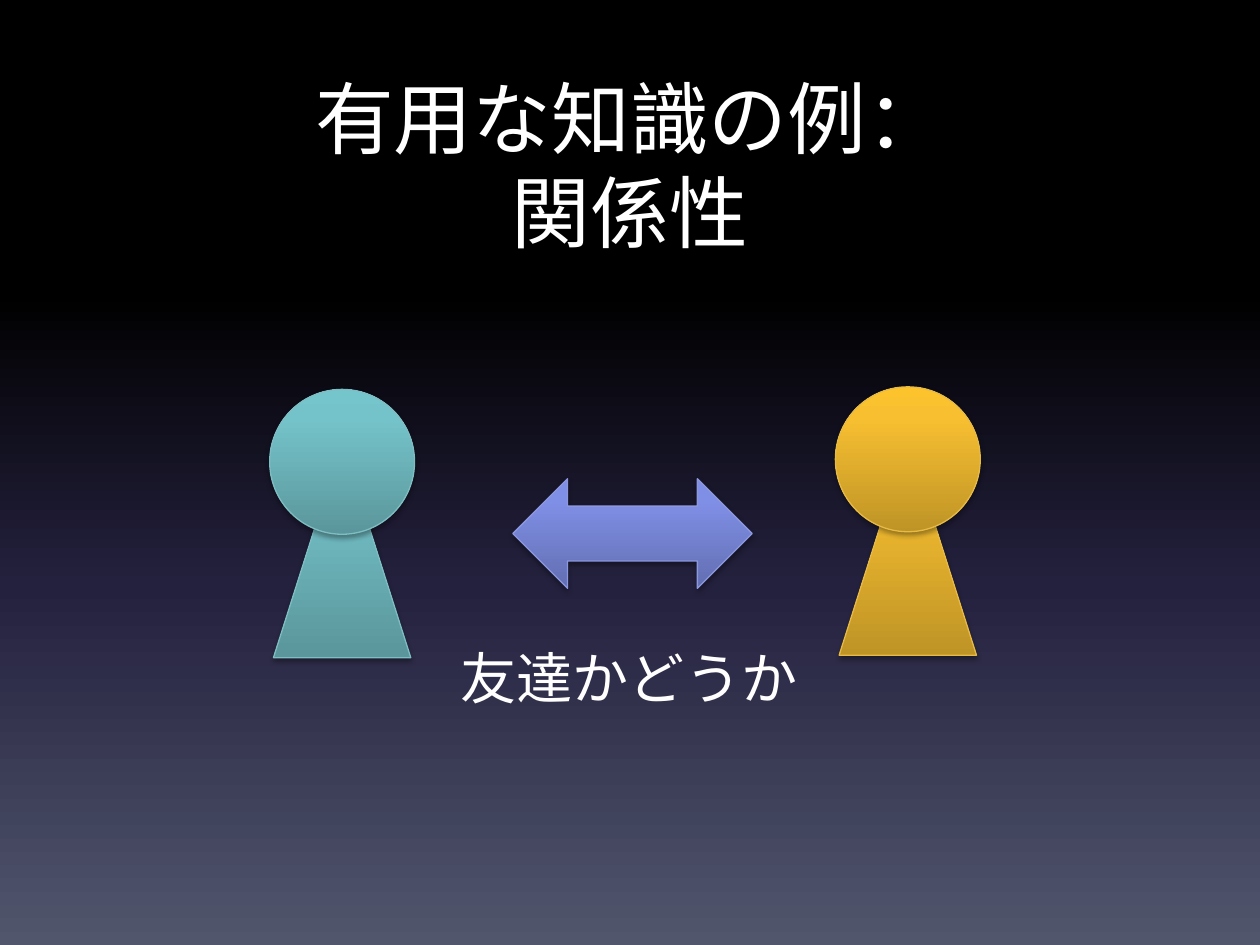
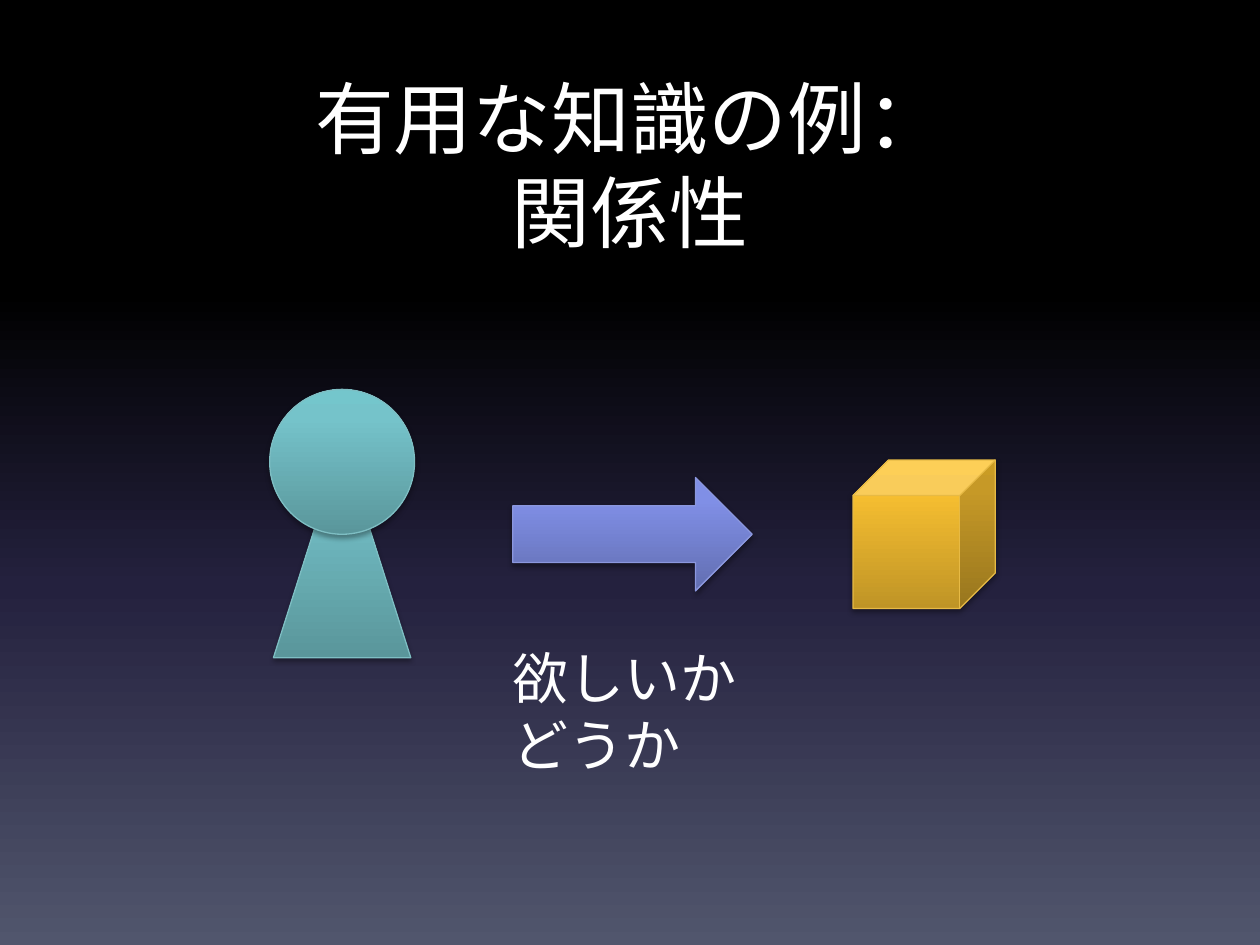
"""Build two slides on relationships as useful knowledge."""

from dataclasses import dataclass
from typing import NamedTuple

from lxml.etree import SubElement
from pptx import Presentation
from pptx.dml.color import RGBColor
from pptx.enum.shapes import MSO_SHAPE
from pptx.enum.text import MSO_ANCHOR, MSO_AUTO_SIZE, PP_ALIGN
from pptx.oxml.ns import qn
from pptx.slide import Slide
from pptx.text.text import _Paragraph
from pptx.util import Inches, Pt


class Stop(NamedTuple):
    percent: int
    color: str


class Box(NamedTuple):
    left: float
    top: float
    width: float
    height: float

    def inches(self) -> list[int]:
        return [Inches(v) for v in self]


class Paint(NamedTuple):
    stops: tuple[Stop, ...]
    line: str


@dataclass(frozen=True)
class Theme:
    font: str = "Cabin"
    text: str = "FFFFFF"
    title_size: int = 45
    caption_size: int = 32
    line_width: float = 0.75
    background: tuple[Stop, ...] = (
        Stop(0, "000000"), Stop(31, "000000"), Stop(62, "24213E"), Stop(100, "51566D"))
    teal: Paint = Paint((Stop(0, "5A969B"), Stop(80, "75C3CA"), Stop(100, "74C6CC")), "7EBEC3")
    gold: Paint = Paint((Stop(0, "BF9426"), Stop(80, "F8C031"), Stop(100, "FDC32D")), "E7BA45")
    violet: Paint = Paint((Stop(0, "626EB1"), Stop(80, "808FE6"), Stop(100, "7E8EE9")), "8B97DE")


@dataclass(frozen=True)
class Figure:
    shape: MSO_SHAPE
    box: Box
    paint: Paint


@dataclass(frozen=True)
class Relation:
    figures: tuple[Figure, ...]
    caption: tuple[str, ...]
    caption_box: Box


THEME = Theme()
TITLE = ("有用な知識の例：", "関係性")
TITLE_BOX = Box(0.5, 0.5, 9, 1.25)


def person(left: float, top: float, paint: Paint) -> tuple[Figure, ...]:
    """Return a body with a head in front of it."""
    return (
        Figure(MSO_SHAPE.ISOSCELES_TRIANGLE, Box(left + 0.03, top + 0.42, 1.09, 1.71), paint),
        Figure(MSO_SHAPE.OVAL, Box(left, top, 1.15, 1.15), paint),
    )


FRIEND = person(2.14, 3.09, THEME.teal)
RELATIONS = (
    Relation(
        (*FRIEND, *person(6.63, 3.07, THEME.gold),
         Figure(MSO_SHAPE.LEFT_RIGHT_ARROW, Box(4.07, 3.8, 1.9, 0.87), THEME.violet)),
        ("友達かどうか",), Box(3.56, 5.06, 2.89, 0.64)),
    Relation(
        (*FRIEND,
         Figure(MSO_SHAPE.RIGHT_ARROW, Box(4.07, 3.79, 1.9, 0.9), THEME.violet),
         Figure(MSO_SHAPE.CUBE, Box(6.77, 3.65, 1.13, 1.18), THEME.gold)),
        ("欲しいか", "どうか"), Box(3.97, 5.06, 2, 1.18)),
)


def set_gradient(owner, fill, stops: tuple[Stop, ...], angle: int) -> None:
    """Fill with a linear gradient at a clockwise angle."""
    fill.gradient()
    grad = owner.element.find(".//" + qn("a:gradFill"))
    for child in list(grad):
        grad.remove(child)
    stop_list = SubElement(grad, qn("a:gsLst"))
    for stop in stops:
        gs = SubElement(stop_list, qn("a:gs"), pos=str(stop.percent * 1000))
        SubElement(gs, qn("a:srgbClr"), val=stop.color)
    SubElement(grad, qn("a:lin"), ang=str(angle * 60000), scaled="0")


def add_shadow(sp) -> None:
    """Give a shape a soft shadow straight below it."""
    sp.shadow.inherit = False
    effects = sp.element.spPr.find(qn("a:effectLst"))
    shadow = SubElement(effects, qn("a:outerShdw"), blurRad=str(Pt(3.1)), dist=str(Pt(1.8)),
                        dir=str(90 * 60000), rotWithShape="0")
    color = SubElement(shadow, qn("a:srgbClr"), val="000000")
    SubElement(color, qn("a:alpha"), val="35000")


def add_figure(s: Slide, figure: Figure) -> None:
    """Draw one painted shape."""
    sp = s.shapes.add_shape(figure.shape, *figure.box.inches())
    set_gradient(sp, sp.fill, figure.paint.stops, 270)
    sp.line.color.rgb = RGBColor.from_string(figure.paint.line)
    sp.line.width = Pt(THEME.line_width)
    add_shadow(sp)


def add_run(p: _Paragraph, text: str, size: int) -> None:
    """Add a run in the theme's font and colour."""
    r = p.add_run()
    r.text = text
    r.font.name = THEME.font
    r.font.size = Pt(size)
    r.font.color.rgb = RGBColor.from_string(THEME.text)


def set_title(s: Slide) -> None:
    """Place and write the shared title."""
    sp = s.shapes.title
    sp.left, sp.top, sp.width, sp.height = TITLE_BOX.inches()
    tf = sp.text_frame
    tf.auto_size = MSO_AUTO_SIZE.NONE
    tf.vertical_anchor = MSO_ANCHOR.TOP
    p = tf.paragraphs[0]
    p.alignment = PP_ALIGN.CENTER
    for i, line in enumerate(TITLE):
        if i:
            p.add_line_break()
        add_run(p, line, THEME.title_size)


def add_caption(s: Slide, lines: tuple[str, ...], box: Box) -> None:
    """Write one paragraph per caption line."""
    tf = s.shapes.add_textbox(*box.inches()).text_frame
    tf.word_wrap = False
    tf.auto_size = MSO_AUTO_SIZE.SHAPE_TO_FIT_TEXT
    for i, line in enumerate(lines):
        p = tf.add_paragraph() if i else tf.paragraphs[0]
        add_run(p, line, THEME.caption_size)


def main() -> None:
    """Build and save the presentation."""
    prs = Presentation()
    prs.slide_width, prs.slide_height = Inches(10), Inches(7.5)
    master = prs.slide_master
    set_gradient(master, master.background.fill, THEME.background, 90)
    for relation in RELATIONS:
        s = prs.slides.add_slide(prs.slide_layouts.get_by_name("Title Only"))
        set_title(s)
        for figure in relation.figures:
            add_figure(s, figure)
        add_caption(s, relation.caption, relation.caption_box)
    prs.save("out.pptx")


if __name__ == "__main__":
    main()
